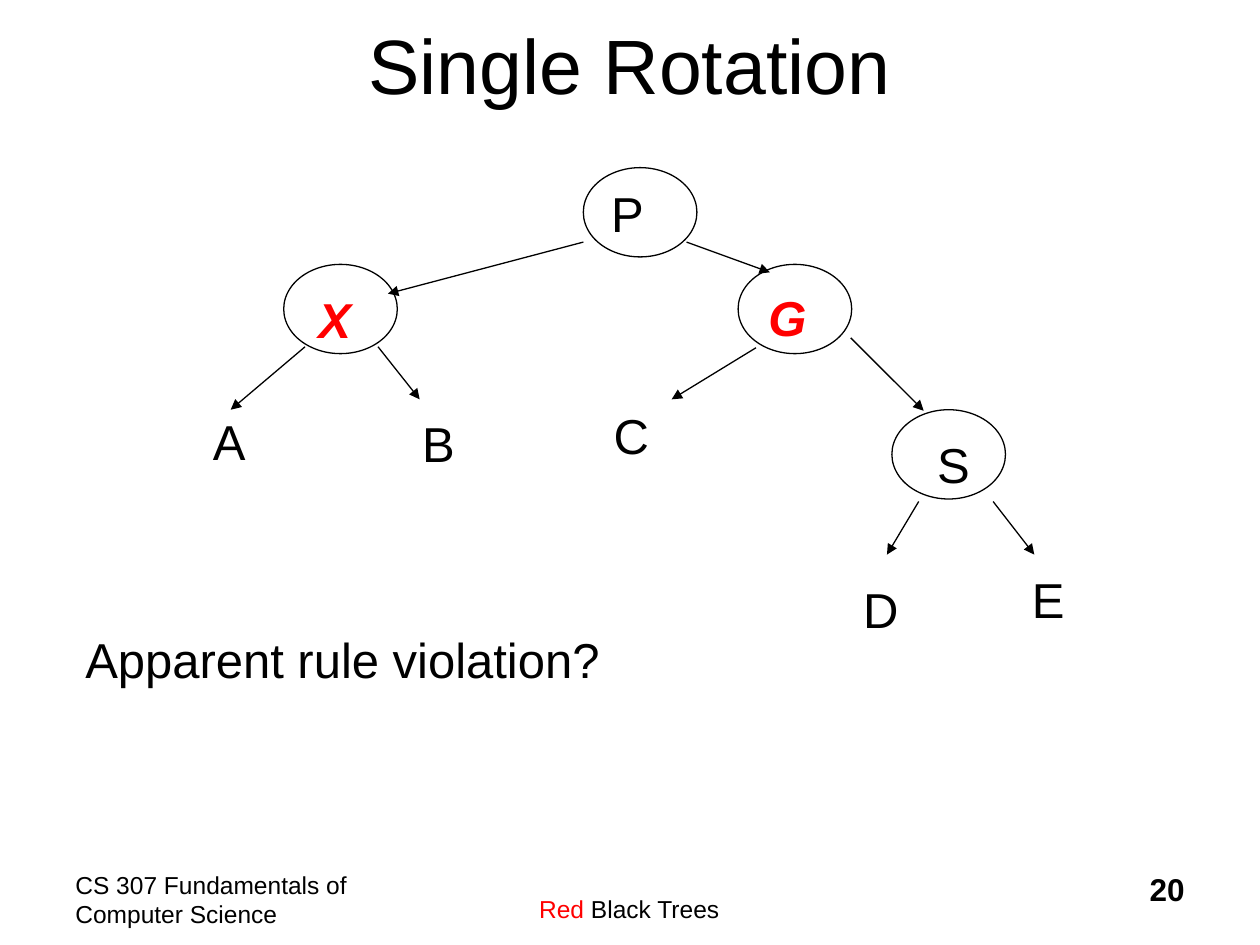
import pptx
import pptx.dml.color
import pptx.enum.shapes
import pptx.enum.text
import pptx.oxml.ns
import pptx.util
from lxml import etree

Cm = pptx.util.Cm
Pt = pptx.util.Pt
ALIGN = pptx.enum.text.PP_ALIGN
ANCHOR = pptx.enum.text.MSO_ANCHOR

BLACK = pptx.dml.color.RGBColor(0x00, 0x00, 0x00)
RED = pptx.dml.color.RGBColor(0xFF, 0x00, 0x00)
FONT = "Arial"
NODE_WIDTH, NODE_HEIGHT = 2.29, 1.8
LABEL_WIDTH, LABEL_HEIGHT = 1.2, 1.45
FOOTER_TOP, FOOTER_HEIGHT = 17.35, 1.27


def add_span(para, text, size=28, color=BLACK, bold=False, italic=False):
    span = para.add_run()
    span.text = text
    font = span.font
    font.name, font.size = FONT, Pt(size)
    font.bold, font.italic = bold, italic
    font.color.rgb = color


class TreeSlide:
    """Style and current slide; every length is in centimetres."""

    def __init__(self, deck):
        self.page = deck.slides.add_slide(deck.slide_layouts[6])
        self.line_color = BLACK
        self.line_width = Pt(0.75)

    def text(self, left, top, width, height, *spans, align=ALIGN.LEFT,
             anchor=ANCHOR.TOP, wrap=True, top_inset=0.25, bottom_inset=0.13):
        """Add a text box; each span is a text and its format."""
        box = self.page.shapes.add_textbox(Cm(left), Cm(top), Cm(width), Cm(height))
        frame = box.text_frame
        frame.word_wrap = wrap
        frame.vertical_anchor = anchor
        frame.margin_left = frame.margin_right = Cm(0.25)
        frame.margin_top, frame.margin_bottom = Cm(top_inset), Cm(bottom_inset)
        para = frame.paragraphs[0]
        para.alignment = align
        for words, style in spans:
            add_span(para, words, **style)

    def label(self, letter, left, top, **style):
        self.text(left, top, LABEL_WIDTH, LABEL_HEIGHT, (letter, style), wrap=False)

    def node(self, left, top):
        oval = self.page.shapes.add_shape(
            pptx.enum.shapes.MSO_SHAPE.OVAL,
            Cm(left), Cm(top), Cm(NODE_WIDTH), Cm(NODE_HEIGHT))
        oval.shadow.inherit = False
        oval.fill.background()
        oval.line.color.rgb = self.line_color
        oval.line.width = self.line_width

    def arrow(self, start, end):
        arrow = self.page.shapes.add_connector(
            pptx.enum.shapes.MSO_CONNECTOR.STRAIGHT,
            *(Cm(value) for value in start + end))
        arrow.line.color.rgb = self.line_color
        arrow.line.width = self.line_width
        qn = pptx.oxml.ns.qn
        properties = arrow.element.find(qn("p:spPr"))
        etree.SubElement(properties.find(qn("a:ln")), qn("a:tailEnd"), type="triangle")
        etree.SubElement(properties, qn("a:effectLst"))


def main():
    deck = pptx.Presentation()
    deck.slide_width, deck.slide_height = Cm(25.4), Cm(19.05)
    slide = TreeSlide(deck)

    # Title
    slide.text(1.9, -0.43, 21.59, 3.18, ("Single Rotation", {"size": 44}),
               align=ALIGN.CENTER, anchor=ANCHOR.MIDDLE, top_inset=0.38)

    # Tree nodes: oval position, then label position
    violation = {"color": RED, "bold": True, "italic": True}
    for letter, oval, place, style in [
        ("P", (11.76, 3.38), (12.07, 3.45), {}),
        ("X", (5.72, 5.33), (6.17, 5.59), violation),
        ("G", (14.88, 5.33), (15.24, 5.54), violation),
        ("S", (17.98, 8.26), (18.64, 8.51), {}),
    ]:
        slide.node(*oval)
        slide.label(letter, *place, **style)

    # Subtrees
    for letter, left, top in [
        ("A", 4.04, 8.05), ("B", 8.26, 8.08), ("C", 12.12, 7.92),
        ("D", 17.15, 11.43), ("E", 20.55, 11.23),
    ]:
        slide.label(letter, left, top)

    # Arrows from parent to child
    for start, end in [
        ((11.76, 4.88), (7.82, 5.92)),    # P to X
        ((13.84, 4.88), (15.52, 5.49)),   # P to G
        ((6.15, 6.99), (4.65, 8.26)),     # X to A
        ((7.62, 6.99), (8.46, 8.05)),     # X to B
        ((15.24, 7.01), (13.54, 8.05)),   # G to C
        ((17.15, 6.81), (18.62, 8.28)),   # G to S
        ((18.52, 10.11), (17.88, 11.18)), # S to D
        ((20.02, 10.11), (20.85, 11.18)), # S to E
    ]:
        slide.arrow(start, end)

    # Question
    slide.text(1.47, 12.45, 10.87, LABEL_HEIGHT,
               ("Apparent rule violation?", {}), wrap=False)

    # Footer: course, topic and page number
    small = {"size": 14}
    slide.text(1.27, FOOTER_TOP, 6.35, FOOTER_HEIGHT,
               ("CS 307 Fundamentals of Computer Science", small), top_inset=0.18)
    slide.text(7.82, FOOTER_TOP, 9.73, FOOTER_HEIGHT,
               ("Red", {"size": 14, "color": RED}), (" Black Trees", small),
               align=ALIGN.CENTER, top_inset=0.76, bottom_inset=0)
    slide.text(18.85, FOOTER_TOP, 5.28, FOOTER_HEIGHT,
               ("20", {"size": 18, "bold": True}),
               align=ALIGN.RIGHT, top_inset=0.18)

    deck.save("out.pptx")


if __name__ == "__main__":
    main()
